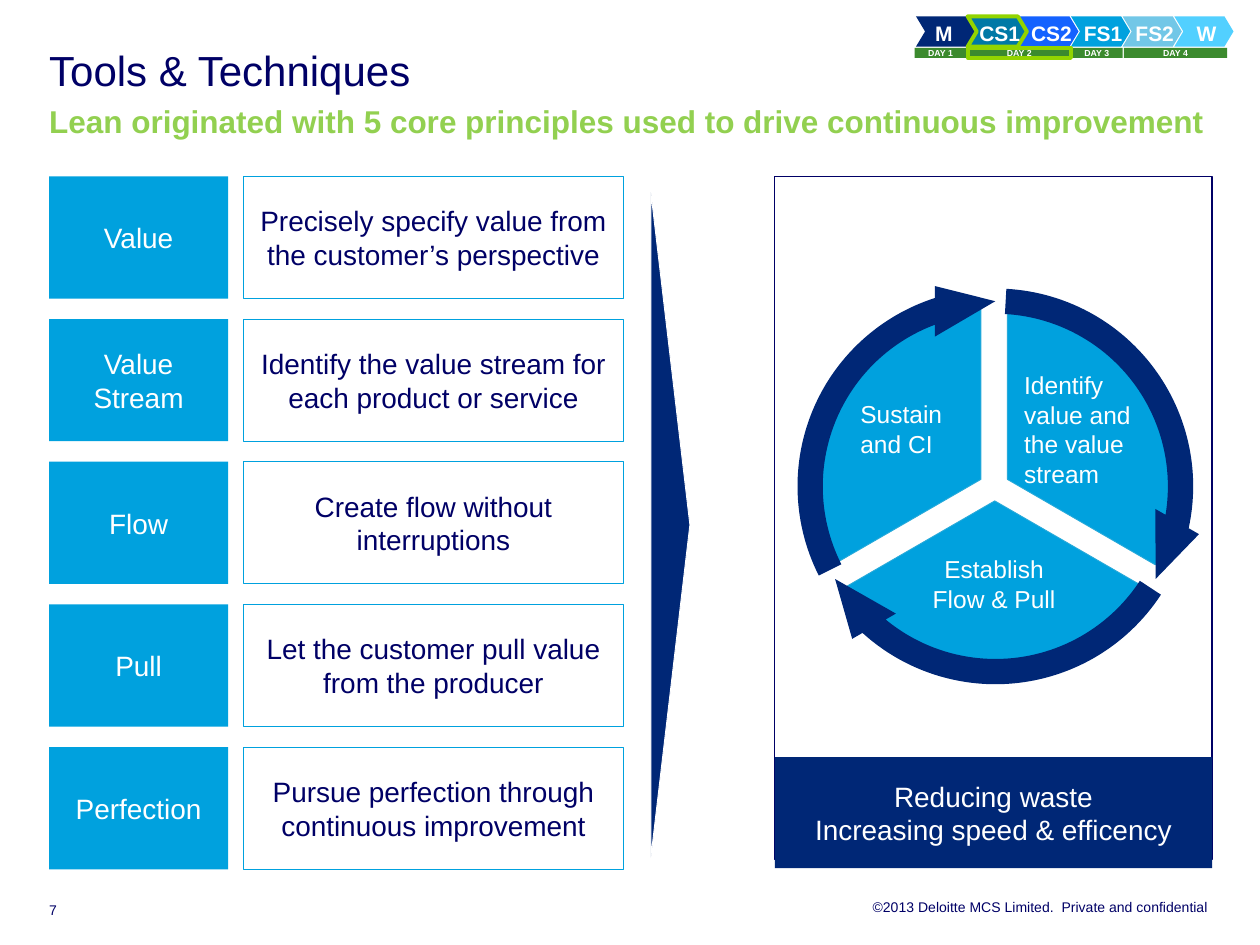
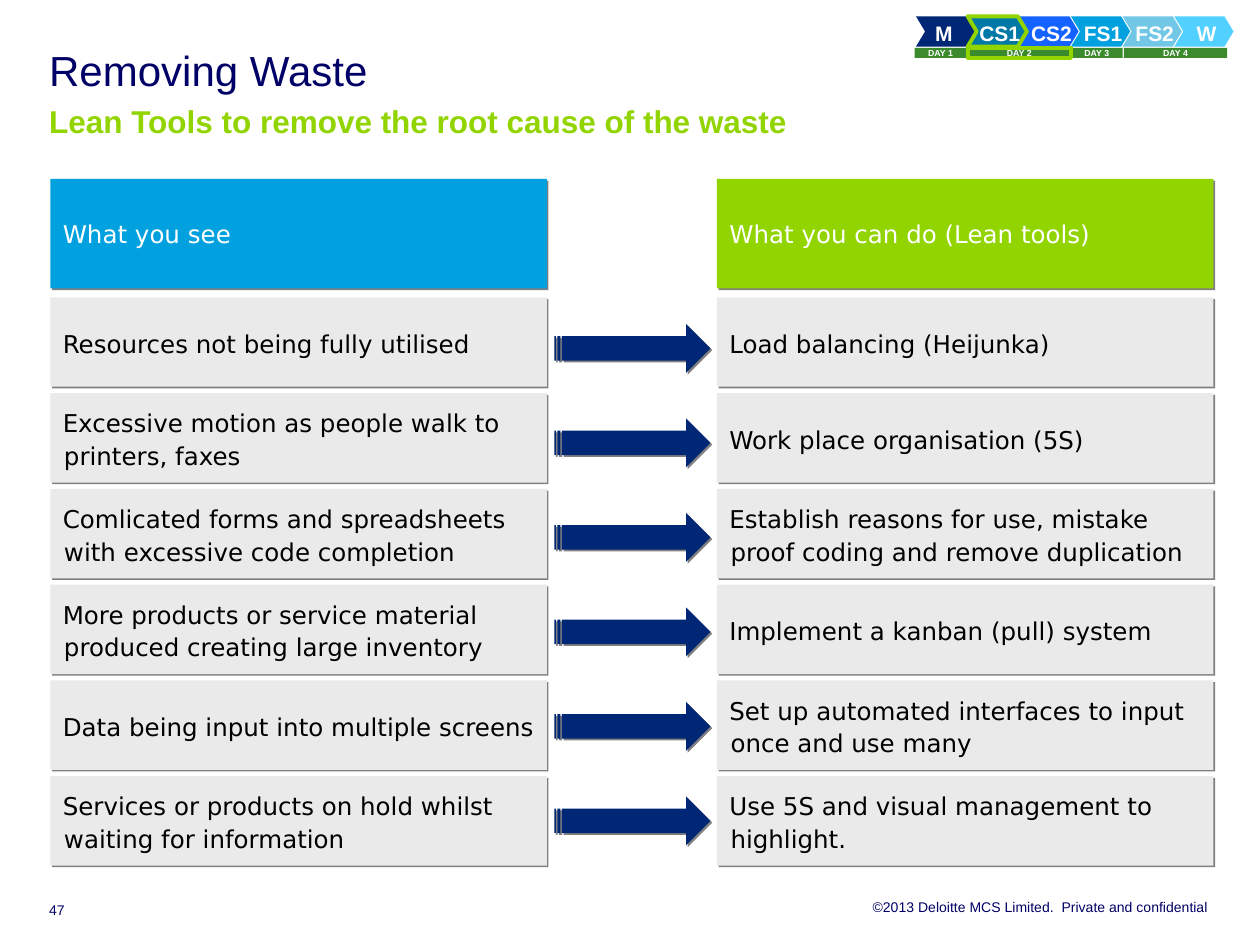
from dataclasses import dataclass

from lxml import etree
from pptx import Presentation
from pptx import util as u
from pptx.dml import color
from pptx.enum import shapes, text
from pptx.oxml import ns

SHAPE = shapes.MSO_SHAPE
ALIGN = text.PP_ALIGN
ANCHOR = text.MSO_ANCHOR


@dataclass(frozen=True)
class Theme:
    font: str = "Arial"
    table_font: str = "DejaVu Sans"
    ink: str = "000066"
    navy: str = "002776"
    blue: str = "00A1DE"
    teal: str = "0079A6"
    royal: str = "1462FF"
    sky: str = "72C7E7"
    cyan: str = "52D0FF"
    pie_edge: str = "28AADA"
    lime: str = "92D400"
    soft_lime: str = "92D050"
    green: str = "3C8A2E"
    grey: str = "EAEAEA"
    shadow: str = "808080"
    white: str = "FFFFFF"
    black: str = "000000"
    title: float = 24
    subtitle: float = 18
    body: float = 16
    small: float = 14
    step: float = 12
    footer: float = 8
    day: float = 5


T = Theme()
STEPS = [("M", T.navy), ("CS1", T.teal), ("CS2", T.royal),
         ("FS1", T.blue), ("FS2", T.sky), ("W", T.cyan)]
DAYS = [("DAY 1", 7.26, 0.41), ("DAY 3", 8.5, 0.41),
        ("DAY 4", 8.92, 0.82), ("DAY 2", 7.68, 0.82)]
CURRENT = ("CS1", "DAY 2")
COPYRIGHT = "©2013 Deloitte MCS Limited.  Private and confidential"


class Deck:
    def __init__(self):
        self.prs = Presentation()
        self.prs.slide_width = u.Inches(10)
        self.prs.slide_height = u.Inches(7.5)
        self.canvas = None

    def slide(self, title, subtitle, number, accent):
        s = self.prs.slides.add_slide(self.prs.slide_layouts[5])
        self.canvas = s.shapes
        self.tracker()
        self.title(s.shapes.title, title, subtitle, accent)
        self.label((3.4, 7.13, 6.19, 0.13), COPYRIGHT, size=T.footer,
                   ink=T.ink, align=ALIGN.RIGHT, insets=(0, 0, 0, 0))
        self.label((0.39, 7.16, 0.39, 0.13), number, size=T.footer,
                   ink=T.ink, anchor=ANCHOR.BOTTOM, insets=(0, 0, 0, 0))

    def title(self, sp, title, subtitle, accent):
        sp.left, sp.top, sp.width, sp.height = map(u.Inches, (0.39, 0.39, 9.21, 0.69))
        tf = self.frame(sp, ANCHOR.TOP, (0, 0, 0, 0))
        p = tf.paragraphs[0]
        p.alignment = ALIGN.LEFT
        p.line_spacing = u.Pt(26)
        self.add_text(p, title, T.title, T.ink)
        p.add_line_break()
        self.add_text(p, subtitle, T.subtitle, accent, bold=True)

    def tracker(self):
        steps = sorted(enumerate(STEPS), key=lambda item: item[1][0] in CURRENT)
        for i, (name, fill) in steps:
            insets = (0.2, 0.06, 0.16, 0.06) if i else (0.08, 0.06, 0, 0.06)
            sp = self.shape(SHAPE.CHEVRON, (7.27 + 0.41 * i, 0.13, 0.47, 0.24),
                            fill, self.highlight(name), 2.25, adj=[0.3])
            self.fill_text(sp, name, size=T.step, bold=True, insets=insets, wrap=False,
                           align=ALIGN.CENTER if i else ALIGN.LEFT, spacing=1.1)
        for name, left, width in DAYS:
            sp = self.shape(SHAPE.RECTANGLE, (left, 0.38, width, 0.08),
                            T.green, self.highlight(name), 2.25)
            self.fill_text(sp, name, size=T.day, bold=True, anchor=ANCHOR.TOP,
                           insets=(0.04, 0, 0.04, 0))

    def highlight(self, name):
        return T.lime if name in CURRENT else None

    def shape(self, kind, at, fill=None, line=None, weight=0.5, adj=(),
              rotation=0, shadow=False):
        sp = self.canvas.add_shape(kind, *map(u.Inches, at))
        sp.rotation = rotation
        for i, value in enumerate(adj):
            sp.adjustments[i] = value
        if fill:
            sp.fill.solid()
            sp.fill.fore_color.rgb = color.RGBColor.from_string(fill)
        else:
            sp.fill.background()
        if line:
            sp.line.color.rgb = color.RGBColor.from_string(line)
            sp.line.width = u.Pt(weight)
        else:
            sp.line.fill.background()
        sp.shadow.inherit = False
        if shadow:
            self.drop_shadow(sp)
        return sp

    def drop_shadow(self, sp):
        effects = sp._element.spPr.find(ns.qn("a:effectLst"))
        outer = etree.SubElement(effects, ns.qn("a:outerShdw"), blurRad="0",
                                 dist=str(u.Pt(1.4)), dir="2700000", algn="ctr")
        etree.SubElement(outer, ns.qn("a:srgbClr"), val=T.shadow)

    def box(self, at, words, fill, line=None, shadow=False, **style):
        sp = self.shape(SHAPE.RECTANGLE, at, fill, line, shadow=shadow)
        self.fill_text(sp, words, **style)

    def label(self, at, words, **style):
        sp = self.canvas.add_textbox(*map(u.Inches, at))
        options = dict(anchor=ANCHOR.TOP, align=ALIGN.LEFT, insets=(0.1, 0.05, 0.1, 0.05))
        self.fill_text(sp, words, **{**options, **style})

    def frame(self, sp, anchor, insets, wrap=True):
        tf = sp.text_frame
        tf.auto_size = text.MSO_AUTO_SIZE.NONE
        tf.word_wrap = wrap
        tf.vertical_anchor = anchor
        tf.margin_left, tf.margin_top, tf.margin_right, tf.margin_bottom = map(u.Inches, insets)
        return tf

    def fill_text(self, sp, words, size=T.body, ink=T.white, bold=False, font=T.font,
                  align=ALIGN.CENTER, anchor=ANCHOR.MIDDLE, insets=(0.1, 0.1, 0.1, 0.1),
                  wrap=True, spacing=None, hanging=0):
        tf = self.frame(sp, anchor, insets, wrap)
        for i, line in enumerate(words.split("\n")):
            p = tf.add_paragraph() if i else tf.paragraphs[0]
            p.alignment = align
            if spacing:
                p.line_spacing = spacing
            if hanging:
                pPr = p._p.get_or_add_pPr()
                pPr.set("marL", str(u.Inches(hanging)))
                pPr.set("indent", str(-u.Inches(hanging)))
            self.add_text(p, line, size, ink, bold, font)

    def add_text(self, p, words, size, ink, bold=False, font=T.font):
        r = p.add_run()
        r.text = words
        r.font.name = font
        r.font.size = u.Pt(size)
        r.font.bold = bold
        r.font.color.rgb = color.RGBColor.from_string(ink)

    def cycle(self, sectors):
        slide_shapes = self.canvas
        self.canvas = slide_shapes.add_group_shape().shapes
        for i, (left, top, _, _) in enumerate(sectors):
            turn = 120 * i
            self.shape(SHAPE.PIE, (left, top, 2.71, 2.71), T.blue, T.pie_edge,
                       adj=[90, 162], rotation=turn)
            self.shape(SHAPE.CIRCULAR_ARROW, (6.23, 2.19, 3.34, 3.34), T.navy,
                       adj=[0.06, 11.42, 204.58, 145.91, 0.06],
                       rotation=(turn + 270) % 360)
        for _, _, at, (words, align) in sectors:
            self.label(at, words, size=T.small, align=align)
        self.canvas = slide_shapes


def principles_slide(deck):
    deck.slide("Tools & Techniques",
               "Lean originated with 5 core principles used to drive continuous improvement",
               "7", T.soft_lime)
    deck.shape(SHAPE.RECTANGLE, (6.15, 1.4, 3.47, 5.42), line=T.ink, weight=0.75)
    principles = [
        ("Value", "Precisely specify value from the customer’s perspective"),
        ("Value Stream", "Identify the value stream for each product or service"),
        ("Flow", "Create flow without interruptions"),
        ("Pull", "Let the customer pull value from the producer"),
        ("Perfection", "Pursue perfection through continuous improvement"),
    ]
    for i, (name, meaning) in enumerate(principles):
        top = 1.4 + 4.53 / 4 * i
        deck.box((1.93, top, 3.02, 0.97), meaning, T.white, T.blue, ink=T.ink)
        deck.box((0.39, top, 1.42, 0.97), name, T.blue)
    deck.shape(SHAPE.ISOSCELES_TRIANGLE, (2.68, 4.01, 5.28, 0.31), T.navy, T.white,
               rotation=90)
    deck.box((6.15, 6.01, 3.47, 0.88), "Reducing waste\nIncreasing speed & efficency", T.navy)
    deck.cycle([
        (6.43, 2.45, (6.73, 3.12, 1.05, 0.57), ("Sustain and CI", ALIGN.LEFT)),
        (6.64, 2.45, (8.03, 2.89, 1.19, 1.04),
         ("Identify value and the value stream", ALIGN.LEFT)),
        (6.54, 2.62, (7.29, 4.35, 1.2, 0.81), ("Establish Flow & Pull", ALIGN.CENTER)),
    ])


def waste_slide(deck):
    deck.slide("Removing Waste", "Lean Tools to remove the root cause of the waste",
               "47", T.lime)
    left, right, width = 0.4, 5.69, 3.94
    style = dict(shadow=True, size=T.small, font=T.table_font, align=ALIGN.LEFT)
    for x, heading, fill in ((left, "What you see", T.blue),
                             (right, "What you can do (Lean tools)", T.lime)):
        deck.box((x, 1.42, width, 0.87), heading, fill, **style)
    remedies = [
        ("Resources not being fully utilised", "Load balancing (Heijunka)"),
        ("Excessive motion as people walk to printers, faxes", "Work place organisation (5S)"),
        ("Comlicated forms and spreadsheets with excessive code completion",
         "Establish reasons for use, mistake proof coding and remove duplication"),
        ("More products or service material produced creating large inventory",
         "Implement a kanban (pull) system"),
        ("Data being input into multiple screens",
         "Set up automated interfaces to input once and use many"),
        ("Services or products on hold whilst waiting for information",
         "Use 5S and visual management to highlight."),
    ]
    for i, (symptom, tool) in enumerate(remedies):
        for x, words in ((left, symptom), (right, tool)):
            deck.box((x, 2.36 + 0.76 * i, width, 0.71), words, T.grey, ink=T.black,
                     spacing=1.1, hanging=0.01, **style)
        deck.shape(SHAPE.STRIPED_RIGHT_ARROW, (4.4, 2.57 + 0.75 * i, 1.24, 0.39),
                   T.navy, shadow=True)


def main():
    deck = Deck()
    principles_slide(deck)
    waste_slide(deck)
    deck.prs.save("out.pptx")


if __name__ == "__main__":
    main()
